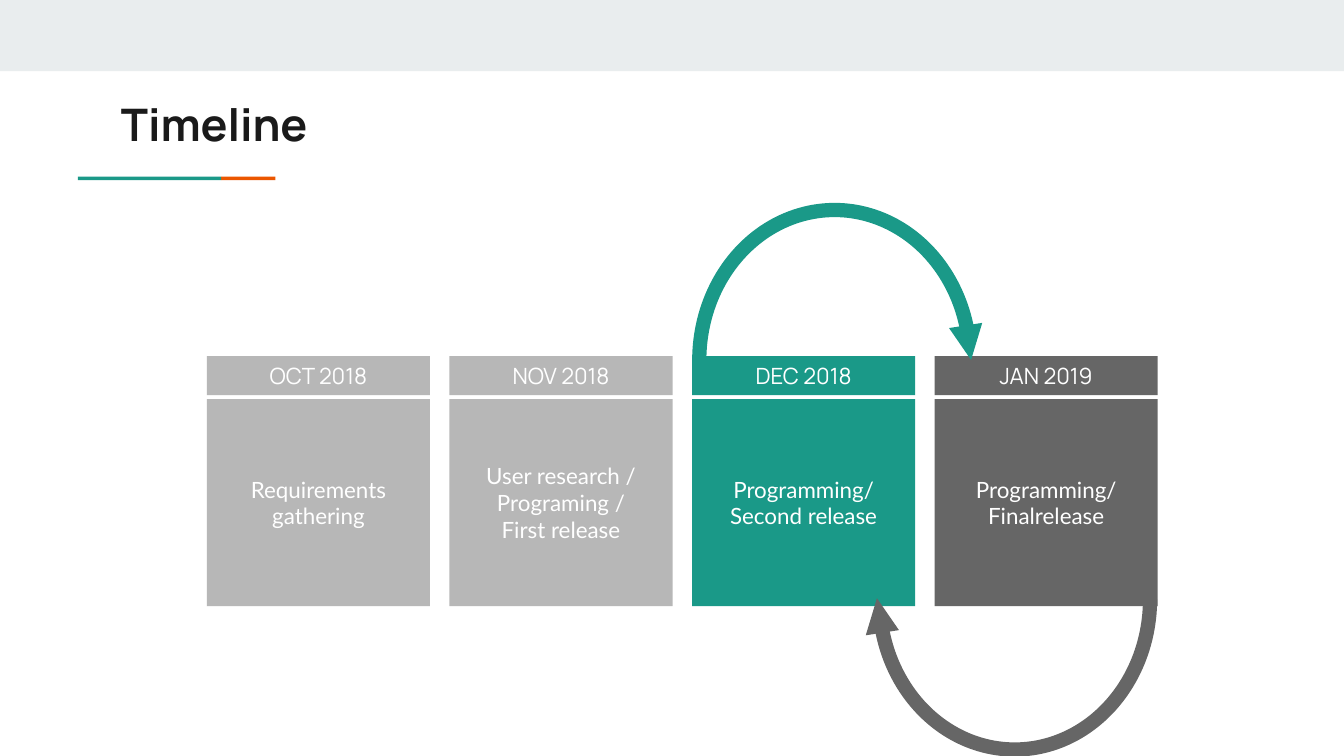
from pptx import Presentation
from pptx.dml.color import RGBColor
from pptx.enum.shapes import MSO_SHAPE as Shape
from pptx.enum.text import MSO_ANCHOR as Anchor, MSO_AUTO_SIZE as AutoSize, PP_ALIGN as Align
from pptx.util import Inches, Pt

COLORS = {
    "band": "E9EDEE",
    "teal": "1A9988",
    "orange": "EB5600",
    "done": "B7B7B7",
    "final": "666666",
    "ink": "1A1A1A",
    "white": "FFFFFF",
}
COLUMNS, ROWS = 20, 11.25
CARD_LEFT, CARD_PITCH, CARD_WIDTH = 3.08, 3.61, 3.32
MONTHS = [
    ("OCT 2018", "Requirements gathering", "done"),
    ("NOV 2018", "User research / Programing /\nFirst release", "done"),
    ("DEC 2018", "Programming/\nSecond release", "teal"),
    ("JAN 2019", "Programming/\nFinalrelease", "final"),
]


class TimelineSlide:
    heading_font, body_font = "Manrope", "Lato"

    def __init__(self, deck):
        self.cell_width = deck.slide_width / COLUMNS
        self.cell_height = deck.slide_height / ROWS
        self.slide = deck.slides.add_slide(deck.slide_layouts[5])

    def area(self, column, row, columns, rows):
        return (
            round(column * self.cell_width),
            round(row * self.cell_height),
            round(columns * self.cell_width),
            round(rows * self.cell_height),
        )

    def label(self, frame, text, font, size, color, align, anchor, bold=False):
        frame.text = text
        frame.word_wrap = True
        frame.auto_size = AutoSize.NONE
        frame.vertical_anchor = anchor
        frame.margin_left = frame.margin_right = Inches(0.1)
        frame.margin_top = frame.margin_bottom = Inches(0.1)
        for paragraph in frame.paragraphs:
            paragraph.alignment = align
            for run in paragraph.runs:
                run.font.name = font
                run.font.size = Pt(size)
                run.font.bold = bold
                run.font.color.rgb = RGBColor.from_string(COLORS[color])

    def title(self, text, *cells):
        heading = self.slide.shapes.title
        heading.left, heading.top, heading.width, heading.height = self.area(*cells)
        self.label(heading.text_frame, text, self.heading_font, 24, "ink",
                   Align.LEFT, Anchor.TOP, bold=True)

    def block(self, color, *cells, kind=Shape.RECTANGLE, turn=0):
        block = self.slide.shapes.add_shape(kind, *self.area(*cells))
        block.shadow.inherit = False
        block.fill.solid()
        block.fill.fore_color.rgb = RGBColor.from_string(COLORS[color])
        block.line.fill.background()
        block.rotation = turn
        return block

    def card(self, index, month, task, color):
        left = CARD_LEFT + index * CARD_PITCH
        parts = [(task, self.body_font, 5.94, 3.08), (month, self.heading_font, 5.3, 0.58)]
        for text, font, top, height in parts:
            panel = self.block(color, left, top, CARD_WIDTH, height)
            self.label(panel.text_frame, text, font, 12, "white", Align.CENTER, Anchor.MIDDLE)

    def loop(self, color, arc_at, tip_at, turn):
        arc = self.block(color, *arc_at, 4.24, 4.68, kind=Shape.BLOCK_ARC, turn=turn)
        for index, value in enumerate((108, 211.46, 0.05)):
            arc.adjustments[index] = value
        self.block(color, *tip_at, 0.5, 0.52,
                   kind=Shape.ISOSCELES_TRIANGLE, turn=turn + 171.1)


def main():
    deck = Presentation()
    deck.slide_width, deck.slide_height = Inches(10), Inches(5.625)
    timeline = TimelineSlide(deck)
    timeline.block("band", 0, 0, COLUMNS, 1.06)
    timeline.block("orange", 3.29, 2.63, 0.81, 0.05)
    timeline.block("teal", 1.16, 2.63, 2.13, 0.05)
    timeline.title("Timeline", 1.6, 1.24, 16.82, 1.18)
    for index, (month, task, color) in reversed(list(enumerate(MONTHS))):
        timeline.card(index, month, task, color)
    timeline.loop("teal", (10.3, 3.02), (14.16, 4.84), 0)
    timeline.loop("final", (12.98, 6.58), (12.84, 8.9), 180)
    deck.save("out.pptx")


if __name__ == "__main__":
    main()
